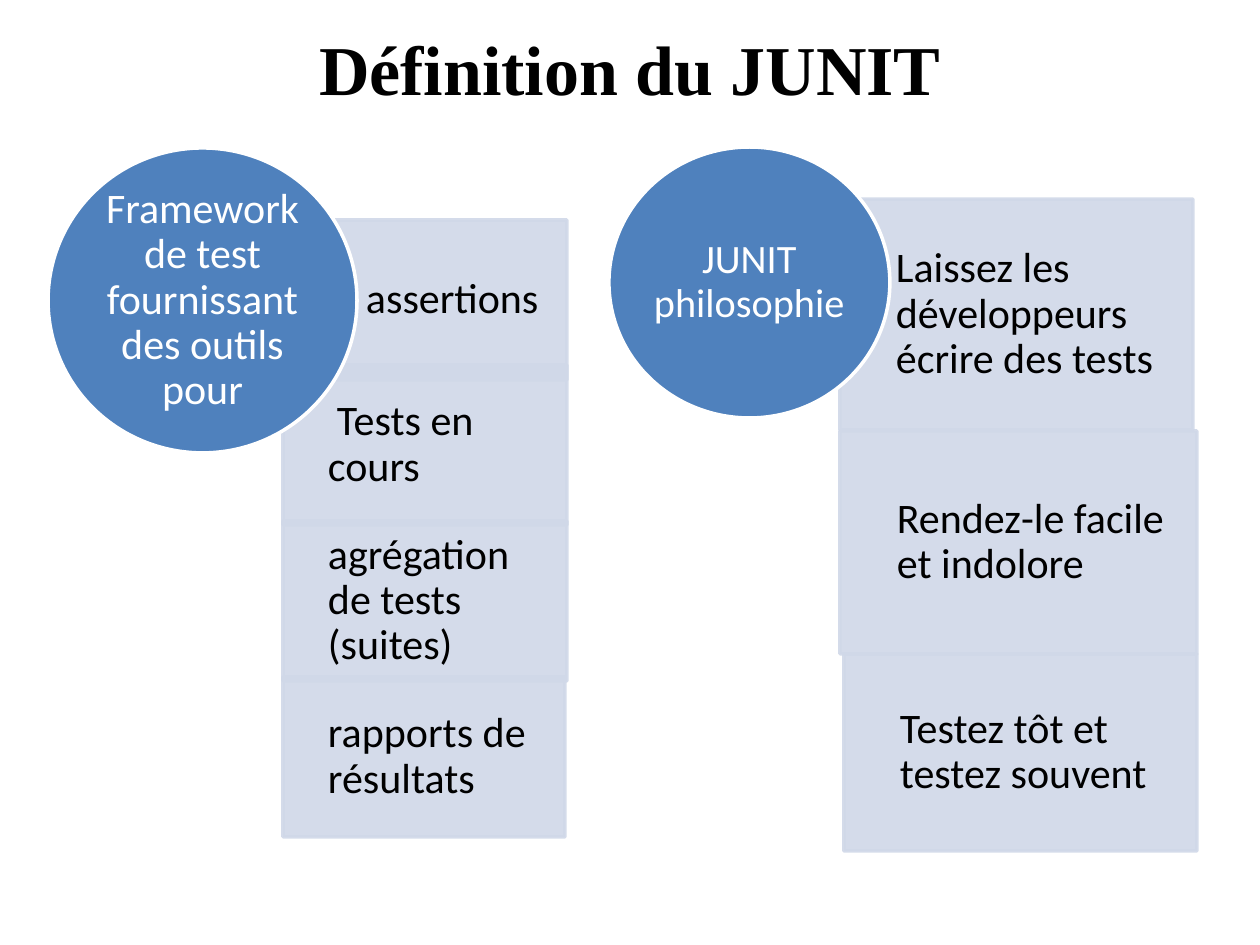
import pptx
import pptx.dml.color
import pptx.enum.shapes
import pptx.enum.text
import pptx.oxml.ns
import pptx.util
import lxml.etree

PX = 914400 // 126
COLORS = {"circle": "4F81BD", "panel": "D0D8E8", "white": "FFFFFF", "black": "000000"}
PANEL_OPACITY = 90
PANEL_INDENT = 0.16  # share of the panel width left of the text
ALIGN = pptx.enum.text.PP_ALIGN
SHAPES = pptx.enum.shapes.MSO_SHAPE

# Each panel: text, first-line indent, left, top, width, height
TOOLS = [
    ("assertions", 38, 283, 220, 284, 160),
    ("Tests en cours", 9, 283, 365, 284, 160),
    ("agrégation de tests (suites)", 0, 283, 521, 284, 160),
    ("rapports de résultats", 0, 283, 677, 282, 160),
]
PHILOSOPHY = [
    ("Laissez les développeurs écrire des tests", 0, 840, 199, 353, 231),
    ("Rendez-le facile et indolore", 0, 840, 431, 357, 223),
    ("Testez tôt et testez souvent", 0, 844, 654, 353, 197),
]


def px(value):
    return pptx.util.Emu(round(value) * PX)


def rgb(name):
    return pptx.dml.color.RGBColor.from_string(COLORS[name])


def set_opacity(shape, percent):
    """Make both the fill and the outline of the shape partly transparent."""
    for color in shape._element.spPr.iter(pptx.oxml.ns.qn("a:srgbClr")):
        alpha = lxml.etree.SubElement(color, pptx.oxml.ns.qn("a:alpha"))
        alpha.set("val", str(percent * 1000))


def format_text(shape, text, font, size, color, align, bold=False):
    frame = shape.text_frame
    frame.text = text
    frame.word_wrap = True
    frame.vertical_anchor = pptx.enum.text.MSO_ANCHOR.MIDDLE
    para = frame.paragraphs[0]
    para.alignment = align
    span = para.runs[0]
    span.font.name = font
    span.font.size = pptx.util.Pt(size)
    span.font.bold = bold
    span.font.color.rgb = rgb(color)
    return para


def set_insets(shape, left, top, right, bottom):
    frame = shape.text_frame
    frame.margin_left, frame.margin_top = px(left), px(top)
    frame.margin_right, frame.margin_bottom = px(right), px(bottom)


def add_filled_shape(page, kind, bounds, fill, line):
    shape = page.shapes.add_shape(kind, *map(px, bounds))
    shape.shadow.inherit = False
    shape.fill.solid()
    shape.fill.fore_color.rgb = rgb(fill)
    shape.line.color.rgb = rgb(line)
    shape.line.width = pptx.util.Pt(2)
    return shape


def add_panel(page, text, first_indent, *bounds):
    panel = add_filled_shape(page, SHAPES.RECTANGLE, bounds, "panel", "panel")
    set_opacity(panel, PANEL_OPACITY)
    set_insets(panel, bounds[2] * PANEL_INDENT, 24, 24, 24)
    para = format_text(panel, text, "Calibri", 24, "black", ALIGN.LEFT)
    para.line_spacing = 0.9
    para._p.get_or_add_pPr().set("indent", str(px(first_indent)))


def add_circle(page, text, size, *bounds):
    circle = add_filled_shape(page, SHAPES.OVAL, bounds, "circle", "white")
    set_insets(circle, 0, 0, 0, 0)
    para = format_text(circle, text, "Calibri", size, "white", ALIGN.CENTER)
    para.line_spacing = 0.9


def set_title(page, text):
    title = page.shapes.title
    title.left, title.top, title.width, title.height = map(px, (63, 19, 1134, 97))
    format_text(title, text, "Times New Roman", 40, "black", ALIGN.CENTER, bold=True)


def main():
    deck = pptx.Presentation()
    deck.slide_width, deck.slide_height = px(1260), px(945)
    page = deck.slides.add_slide(deck.slide_layouts[5])
    set_title(page, "Définition du JUNIT")
    for panel in TOOLS:
        add_panel(page, *panel)
    add_circle(page, "Framework de test fournissant des outils pour", 24, 48, 148, 309, 305)
    for panel in PHILOSOPHY:
        add_panel(page, *panel)
    add_circle(page, "JUNIT philosophie", 23, 609, 147, 281, 271)
    deck.save("out.pptx")


if __name__ == "__main__":
    main()
